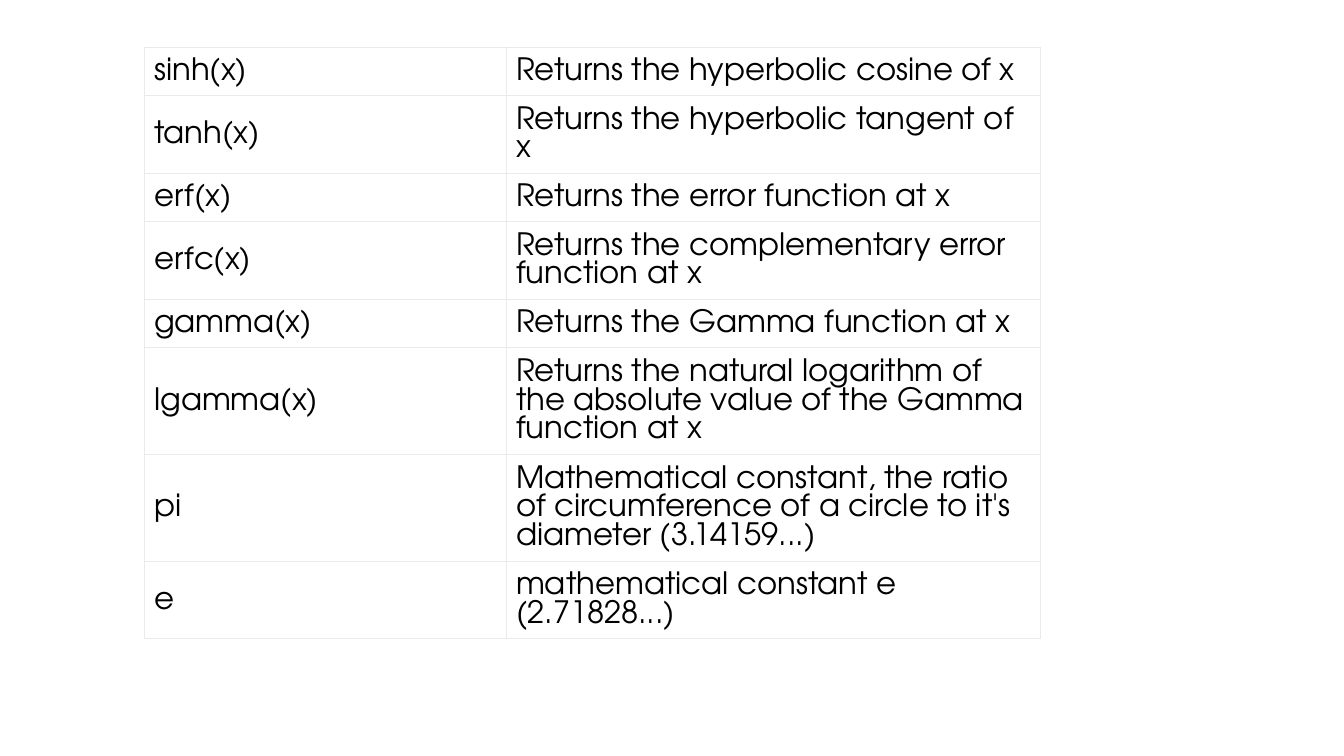
from dataclasses import dataclass

from lxml.etree import SubElement
from pptx import Presentation
from pptx.dml.color import RGBColor
from pptx.enum.text import MSO_ANCHOR
from pptx.oxml.ns import qn
from pptx.util import Inches, Pt


@dataclass(frozen=True)
class Theme:
    font: str = "TeX Gyre Adventor"
    size: float = 22
    ink: str = "000000"
    paper: str = "FFFFFF"
    rule: str = "EAEAEC"
    weight: float = 0.75


THEME = Theme()

# Name, meaning and number of text lines
ROWS = [
    ("sinh(x)", "Returns the hyperbolic cosine of x", 1),
    ("tanh(x)", "Returns the hyperbolic tangent of x", 2),
    ("erf(x)", "Returns the error function at x", 1),
    ("erfc(x)", "Returns the complementary error function at x", 2),
    ("gamma(x)", "Returns the Gamma function at x", 1),
    ("lgamma(x)", "Returns the natural logarithm of the absolute value "
     "of the Gamma function at x", 3),
    ("pi", "Mathematical constant, the ratio of circumference of a circle "
     "to it's diameter (3.14159...)", 3),
    ("e", "mathematical constant e (2.71828...)", 2),
]
COLS = (3.59, 5.3)
PAD, LINE = 0.19, 0.29

CELL = {
    "margin_left": Inches(0.1),
    "margin_top": Inches(0.1),
    "margin_right": Inches(0.08),
    "margin_bottom": Inches(0.09),
    "vertical_anchor": MSO_ANCHOR.MIDDLE,
}
FONT = {"name": THEME.font, "size": Pt(THEME.size)}


def apply(item, style):
    for key, value in style.items():
        setattr(item, key, value)


def add_edges(cell):
    # Borders come before the fill in the cell properties
    props = cell._tc.get_or_add_tcPr()
    for side in ("a:lnL", "a:lnR", "a:lnT", "a:lnB"):
        edge = SubElement(props, qn(side), w=str(Pt(THEME.weight)))
        fill = SubElement(edge, qn("a:solidFill"))
        SubElement(fill, qn("a:srgbClr"), val=THEME.rule)


def fill_cell(cell, text):
    apply(cell, CELL)
    add_edges(cell)
    cell.fill.solid()
    cell.fill.fore_color.rgb = RGBColor.from_string(THEME.paper)
    run = cell.text_frame.paragraphs[0].add_run()
    run.text = text
    apply(run.font, FONT)
    run.font.color.rgb = RGBColor.from_string(THEME.ink)


def add_grid(slide, left, top, width, height):
    frame = slide.shapes.add_table(
        len(ROWS), len(COLS),
        Inches(left), Inches(top), Inches(width), Inches(height))
    table = frame.table
    apply(table, {"first_row": False, "horz_banding": False})
    # Columns share the width of the box
    for col, part in zip(table.columns, COLS):
        col.width = Inches(width * part / sum(COLS))
    # Each row is as high as its lines of text
    for r, (name, note, lines) in enumerate(ROWS):
        table.rows[r].height = Inches(PAD + LINE * lines)
        for c, text in enumerate((name, note)):
            fill_cell(table.cell(r, c), text)


def main():
    deck = Presentation()
    apply(deck, {"slide_width": Inches(13.33), "slide_height": Inches(7.5)})
    slide = deck.slides.add_slide(deck.slide_layouts[6])
    high = sum(PAD + LINE * row[2] for row in ROWS)
    add_grid(slide, 1.43, 0.47, sum(COLS), high)
    deck.save("out.pptx")


if __name__ == "__main__":
    main()
